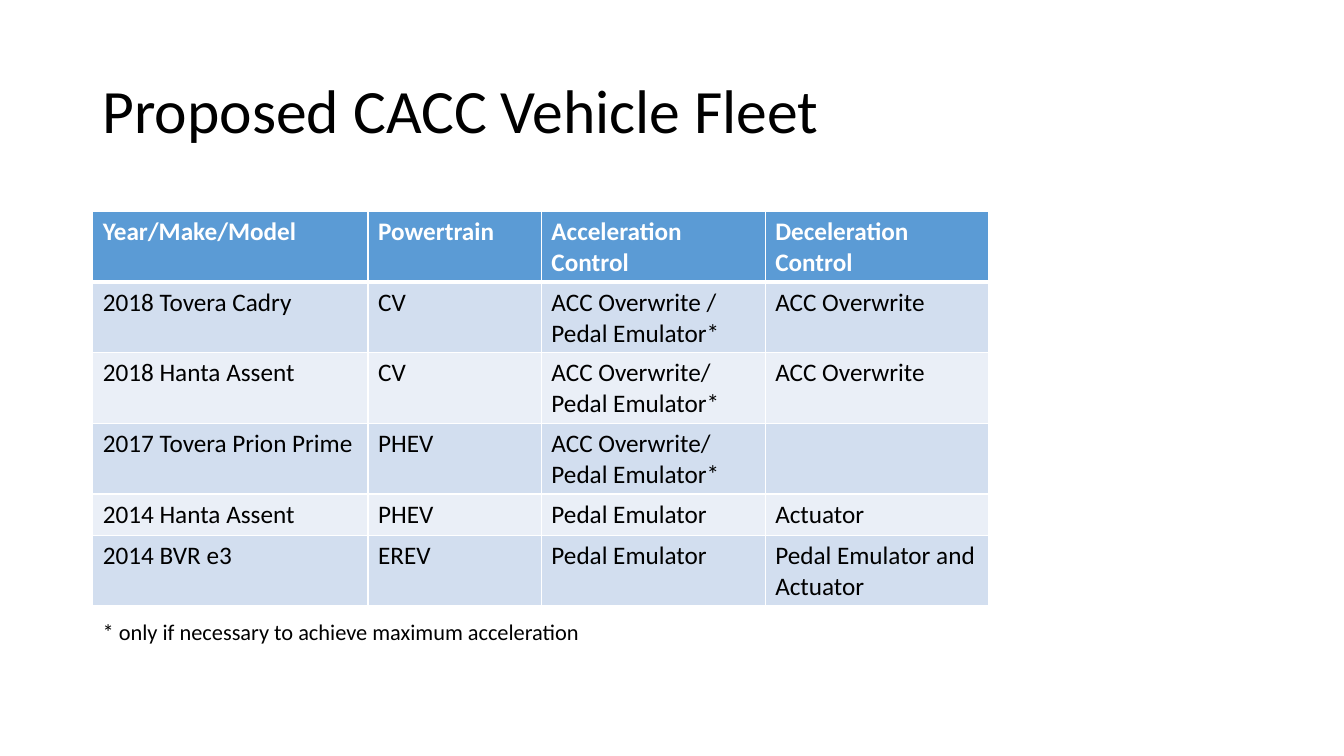
from dataclasses import dataclass

from lxml.etree import SubElement
from pptx import Presentation
from pptx.dml.color import RGBColor
from pptx.enum.text import MSO_ANCHOR
from pptx.oxml import parse_xml
from pptx.oxml.ns import nsdecls
from pptx.util import Inches, Pt


@dataclass(frozen=True)
class Theme:
    font: str = "Calibri"
    title_size: int = 44
    table_size: int = 18
    note_size: int = 16
    ink: str = "000000"
    white: str = "FFFFFF"
    header: str = "5B9BD5"
    bands: tuple = ("D2DEEF", "EAEFF7")
    border: int = 1
    header_border: int = 3


THEME = Theme()

COLUMN_WIDTHS = (2.73, 1.72, 2.22, 2.22)
ROW_HEIGHT = 0.41
FLEET = (
    ("Year/Make/Model", "Powertrain", "Acceleration Control", "Deceleration Control"),
    ("2018 Tovera Cadry", "CV", "ACC Overwrite / Pedal Emulator*", "ACC Overwrite"),
    ("2018 Hanta Assent", "CV", "ACC Overwrite/ Pedal Emulator*", "ACC Overwrite"),
    ("2017 Tovera Prion Prime", "PHEV", "ACC Overwrite/ Pedal Emulator*", ""),
    ("2014 Hanta Assent", "PHEV", "Pedal Emulator", "Actuator"),
    ("2014 BVR e3", "EREV", "Pedal Emulator", "Pedal Emulator and Actuator"),
)


def style_paragraph(para, size, color, bold=False):
    for span in para.runs:
        span.font.name = THEME.font
        span.font.size = Pt(size)
        span.font.bold = bold
        span.font.color.rgb = RGBColor.from_string(color)


def add_text(page, box, text, size, anchor=MSO_ANCHOR.TOP, space_before=0):
    frame = page.shapes.add_textbox(*map(Inches, box)).text_frame
    frame.word_wrap = True
    frame.vertical_anchor = anchor
    frame.text = text
    para = frame.paragraphs[0]
    para.line_spacing = 0.9
    para.space_before = Pt(space_before)
    style_paragraph(para, size, THEME.ink)


def set_borders(cell, bottom_width, top_width):
    properties = cell._tc.get_or_add_tcPr()
    widths = {"lnL": THEME.border, "lnR": THEME.border, "lnT": top_width, "lnB": bottom_width}
    for index, (side, width) in enumerate(widths.items()):
        line = parse_xml(f'<a:{side} {nsdecls("a")} w="{Pt(width)}"><a:solidFill/></a:{side}>')
        SubElement(line[0], f"{{{line.nsmap['a']}}}srgbClr", val=THEME.white)
        properties.insert(index, line)


def add_fleet_table(page, box):
    frame = page.shapes.add_table(len(FLEET), len(COLUMN_WIDTHS), *map(Inches, box))
    table = frame.table
    for column, width in zip(table.columns, COLUMN_WIDTHS):
        column.width = Inches(width)
    for row_index, (row, values) in enumerate(zip(table.rows, FLEET)):
        row.height = Inches(ROW_HEIGHT)
        is_header = row_index == 0
        fill = THEME.header if is_header else THEME.bands[(row_index - 1) % 2]
        color = THEME.white if is_header else THEME.ink
        bottom = THEME.header_border if is_header else THEME.border
        top = THEME.header_border if row_index == 1 else THEME.border
        for cell, value in zip(row.cells, values):
            cell.fill.solid()
            cell.fill.fore_color.rgb = RGBColor.from_string(fill)
            set_borders(cell, bottom, top)
            cell.text_frame.text = value
            style_paragraph(cell.text_frame.paragraphs[0], THEME.table_size, color, is_header)
    frame.height = Inches(box[3])


def add_fleet_slide(deck, box):
    page = deck.slides.add_slide(deck.slide_layouts[6])
    left, top, width, height = box
    add_text(page, (left, top, width, 1.45), "Proposed CACC Vehicle Fleet",
             THEME.title_size, MSO_ANCHOR.MIDDLE)
    note_top = top + 5.71
    add_text(page, (left, note_top, 10.15, top + height - note_top),
             "* only if necessary to achieve maximum acceleration",
             THEME.note_size, space_before=10)
    add_fleet_table(page, (left, top + 1.7, sum(COLUMN_WIDTHS), 3.91))


def main():
    deck = Presentation()
    deck.slide_width = Inches(13.33)
    deck.slide_height = Inches(7.5)
    add_fleet_slide(deck, (0.92, 0.4, 11.5, 6.75))
    deck.save("out.pptx")


if __name__ == "__main__":
    main()
